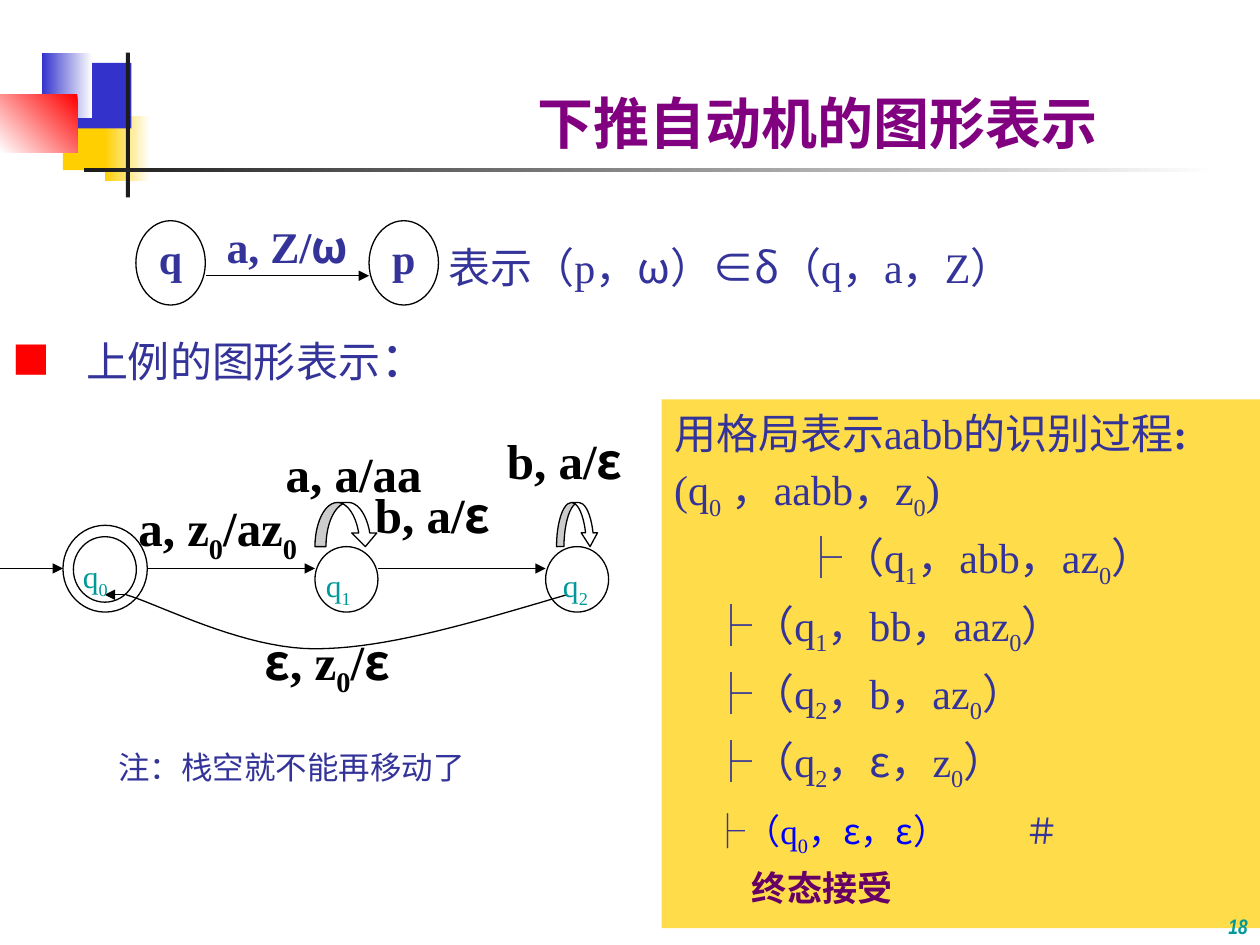
"""Builds the slide on the graphical form of a pushdown automaton."""
import itertools

import lxml.etree
import pptx
import pptx.dml.color
import pptx.enum.shapes
import pptx.enum.text
import pptx.oxml.ns
import pptx.util

Cm, Pt = pptx.util.Cm, pptx.util.Pt
SHAPE = pptx.enum.shapes.MSO_SHAPE
ALIGN = pptx.enum.text.PP_ALIGN
ANCHOR = pptx.enum.text.MSO_ANCHOR
qn = pptx.oxml.ns.qn

LATIN, HAN = "Times New Roman", "Noto Sans CJK SC"
NAVY, TEAL, BLACK, WHITE = "333399", "009999", "000000", "FFFFFF"
GOLD, BLUE, RED, COAL = "FFCF01", "3333CC", "FF0000", "1C1C1C"


def rgb(code):
    return pptx.dml.color.RGBColor.from_string(code)


def child(parent, tag, **attributes):
    return lxml.etree.SubElement(parent, qn(tag), attributes)


def marked(text):
    """Yields each character with its subscript flag; an underscore lowers the next one."""
    lowered = False
    for char in text:
        if char == "_":
            lowered = True
        else:
            yield char, lowered
            lowered = False


def write(paragraph, text, size=24, color=NAVY, bold=False, italic=False, latin=LATIN):
    def look(item):
        char, lowered = item
        return lowered, ord(char) > 0x2E80 or char in "εωδ∈├"

    for (lowered, han), items in itertools.groupby(marked(text), look):
        run = paragraph.add_run()
        run.text = "".join(char for char, _ in items)
        font = run.font
        font.size, font.bold, font.italic = Pt(size), bold, italic
        font.color.rgb = rgb(color)
        font.name = HAN if han else latin
        properties = run._r.get_or_add_rPr()
        child(properties, "a:ea", typeface=HAN)
        if lowered:
            properties.set("baseline", "-25000")


def set_tabs(paragraph, stops):
    tab_list = child(paragraph._p.get_or_add_pPr(), "a:tabLst")
    for stop in stops:
        child(tab_list, "a:tab", pos=str(Cm(stop)), algn="l")


class Board:
    """Holds the slide and its drawing style."""

    def __init__(self, deck):
        self.slide = deck.slides.add_slide(deck.slide_layouts[1])
        self.shapes = self.slide.shapes
        self.line_width = Pt(0.75)

    def placeholder(self, index, box, anchor):
        holder = self.slide.placeholders[index]
        holder.left, holder.top, holder.width, holder.height = map(Cm, box)
        frame = holder.text_frame
        frame.auto_size = pptx.enum.text.MSO_AUTO_SIZE.NONE
        frame.vertical_anchor = anchor
        paragraph = frame.paragraphs[0]
        paragraph.alignment = ALIGN.LEFT
        return paragraph

    def bullet(self, paragraph, indent):
        properties = paragraph._p.get_or_add_pPr()
        properties.set("marL", str(Cm(indent)))
        properties.set("indent", str(-Cm(indent)))
        child(child(properties, "a:buClr"), "a:srgbClr", val=RED)
        child(properties, "a:buSzPct", val="90000")
        child(properties, "a:buFont", typeface=HAN)
        child(properties, "a:buChar", char="■")
        paragraph.space_before = Pt(0)

    def shape(self, kind, box, fill=WHITE, outlined=False):
        item = self.shapes.add_shape(kind, *map(Cm, box))
        item.shadow.inherit = False
        item.fill.solid()
        item.fill.fore_color.rgb = rgb(fill)
        self.outline(item, outlined)
        return item

    def outline(self, item, outlined=True):
        if outlined:
            item.line.color.rgb = rgb(BLACK)
            item.line.width = self.line_width
        else:
            item.line.fill.background()

    def fade(self, box, start, end, angle=180):
        fill = self.shape(SHAPE.RECTANGLE, box).fill
        fill.gradient()
        fill.gradient_angle = angle
        for stop, color in zip(fill.gradient_stops, (start, end)):
            stop.color.rgb = rgb(color)

    def state(self, box, name=""):
        frame = self.shape(SHAPE.OVAL, box, outlined=True).text_frame
        frame.margin_left = frame.margin_right = frame.margin_top = 0
        frame.margin_bottom = Cm(0.2)
        frame.vertical_anchor = ANCHOR.MIDDLE
        frame.paragraphs[0].alignment = ALIGN.CENTER
        write(frame.paragraphs[0], name, bold=True)

    def loop(self, box, adjustments):
        arrow = self.shape(SHAPE.CURVED_DOWN_ARROW, box, outlined=True)
        for index, value in enumerate(adjustments):
            arrow.adjustments[index] = value

    def arrow(self, start, end, y):
        straight = pptx.enum.shapes.MSO_CONNECTOR.STRAIGHT
        link = self.shapes.add_connector(straight, Cm(start), Cm(y), Cm(end), Cm(y))
        self.outline(link)
        child(link.line._get_or_add_ln(), "a:tailEnd", type="triangle")
        child(link._element.spPr, "a:effectLst")

    def curve(self, *beziers, steps=20):
        points = []
        for corners in beziers:
            for step in range(steps + 1):
                t = step / steps
                weights = (1 - t) ** 3, 3 * t * (1 - t) ** 2, 3 * t * t * (1 - t), t ** 3
                points.append([Cm(sum(w * v for w, v in zip(weights, axis)))
                               for axis in zip(*corners)])
        builder = self.shapes.build_freeform(*points[0])
        builder.add_line_segments(points[1:], close=False)
        line = builder.convert_to_shape()
        line.shadow.inherit = False
        line.fill.background()
        self.outline(line)

    def label(self, text, box, align=ALIGN.LEFT, anchor=ANCHOR.TOP, **style):
        frame = self.shapes.add_textbox(*map(Cm, box)).text_frame
        frame.word_wrap = True
        frame.vertical_anchor = anchor
        frame.paragraphs[0].alignment = align
        write(frame.paragraphs[0], text, **style)

    def panel(self, box, fill, lines):
        frame = self.shape(SHAPE.RECTANGLE, box, fill).text_frame
        frame.word_wrap = True
        frame.vertical_anchor = ANCHOR.TOP
        for index, (stops, before, height, pieces) in enumerate(lines):
            paragraph = frame.add_paragraph() if index else frame.paragraphs[0]
            paragraph.alignment = ALIGN.LEFT
            if stops:
                set_tabs(paragraph, stops)
            paragraph.space_before = Pt(before)
            if height:
                paragraph.line_spacing = Pt(height)
            for text, style in pieces:
                write(paragraph, text, **style)


def main():
    deck = pptx.Presentation()
    deck.slide_width, deck.slide_height = Cm(25.4), Cm(19.05)
    board = Board(deck)

    board.shape(SHAPE.RECTANGLE, (1.27, 2.11, 1.22, 1.32), GOLD)
    board.fade((2.11, 2.33, 0.91, 1.32), WHITE, GOLD)
    board.shape(SHAPE.RECTANGLE, (1.48, 1.27, 1.17, 1.32), BLUE)
    board.fade((0.84, 1.06, 1.02, 1.32), WHITE, BLUE)
    board.fade((0, 1.9, 1.56, 1.17), RED, WHITE, angle=225)
    board.shape(SHAPE.RECTANGLE, (2.54, 1.06, 0.08, 2.92), COAL)
    board.fade((1.7, 3.39, 22.86, 0.08), WHITE, COAL)

    title = board.placeholder(0, (10.58, 0.94, 13.82, 2.33), ANCHOR.BOTTOM)
    write(title, "下推自动机的图形表示", size=32, color="800080", bold=True)
    heading = board.placeholder(1, (0, 6.5, 20.75, 1.48), ANCHOR.TOP)
    board.bullet(heading, 1.48)
    write(heading, "上例的图形表示")
    write(heading, "：", size=28)

    for name, x in (("q", 2.74), ("p", 7.44)):
        board.state((x, 4.45, 1.4, 1.7), name)
    board.arrow(4.16, 7.44, 5.56)
    board.label("a, Z/ω", (4.32, 4.31, 3.2, 1.5), size=25, bold=True)
    board.label("表示（p，ω）∈δ（q，a，Z）", (8.79, 4.74, 15.5, 1.4))
    board.label("注：栈空就不能再移动了", (2.13, 14.95, 8, 1.1), size=18)

    board.state((1.27, 10.59, 1.7, 1.75))
    for x, y in ((1.48, 10.82), (6.35, 11.02), (11, 11.02)):
        board.state((x, y, 1.27, 1.32))
    for start, end in ((0, 1.27), (2.97, 6.35), (7.62, 11)):
        board.arrow(start, end, 11.46)
    board.loop((6.35, 10.13, 1.27, 0.89), (0.25, 0.57, 0.31))
    board.loop((11.22, 10.13, 0.84, 0.89), (0.18, 0.39, 0.33))
    board.curve(((11.43, 11.99), (9.63, 12.52), (7.82, 13.08), (6.35, 13.08)),
                ((6.35, 13.08), (4.88, 13.08), (3.18, 12.17), (2.54, 11.99)))
    board.arrow(2.54, 2.11, 11.99)

    for moves, x, y in (("a, z_0/az_0", 2.54, 9.91), ("b, a/ε", 7.31, 9.65),
                        ("a, a/aa", 5.51, 8.81), ("b, a/ε", 9.97, 8.55),
                        ("ε, z_0/ε", 5.08, 12.6)):
        board.label(moves, (x, y, 4.4, 1.7), size=28, color=BLACK, bold=True)
    for state, x, y in (("q_0", 1.42, 11.1), ("q_1", 6.32, 11.28), ("q_2", 11.1, 11.28)):
        board.label(state, (x, y, 1.3, 1.1), size=18, color=TEAL)

    near, far = (0.73,), (2.54,)
    accepted = dict(size=20, color="0000FF")
    board.panel((13.34, 8.05, 12.06, 10.66), "FFDC49", (
        ((), 0, 30, [("用格局表示aabb的识别过程", {}), (":", dict(bold=True))]),
        ((), 6, 30, [("(q_0 ，aabb，z_0)", {})]),
        (far, 6, None, [("\t├（q_1，abb，az_0）", {})]),
        (near, 6, None, [("\t├（q_1，bb，aaz_0）", {})]),
        (near, 6, None, [("\t├（q_2，b，az_0）", {})]),
        (near, 6, None, [("\t├（q_2，ε，z_0）", {})]),
        ((0.73, 7.06), 10, None, [("\t├", dict(size=20)), ("（q_0，ε，ε）", accepted),
                                  ("\t＃", dict(size=20))]),
        ((1.57,), 5, None, [("\t终态接受", dict(size=20, color="660066", bold=True))]),
    ))
    board.label("18", (21.17, 17.78, 4.23, 1.27), ALIGN.RIGHT, ANCHOR.BOTTOM,
                size=12, color=TEAL, bold=True, italic=True, latin="Arial Narrow")
    deck.save("out.pptx")


if __name__ == "__main__":
    main()
